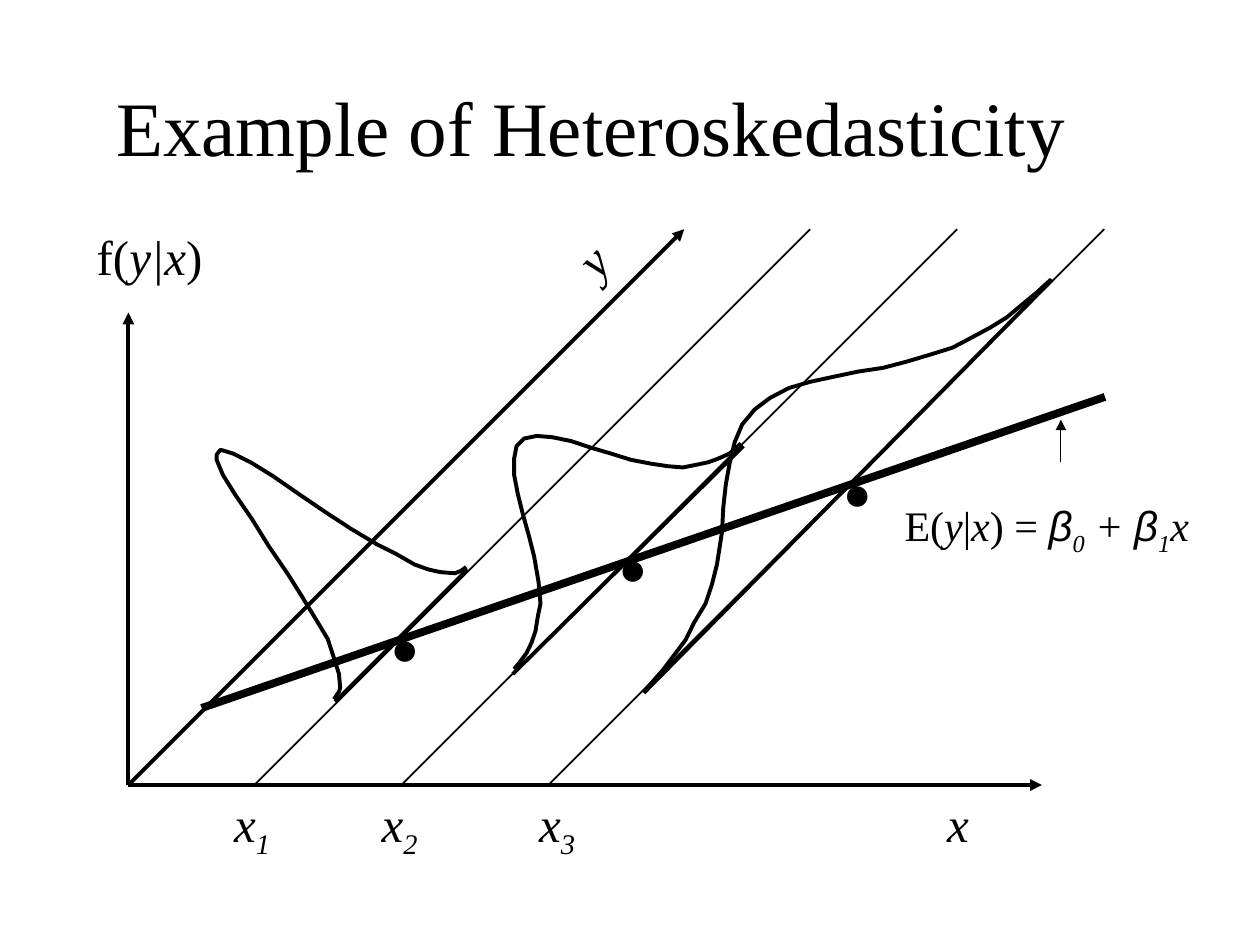
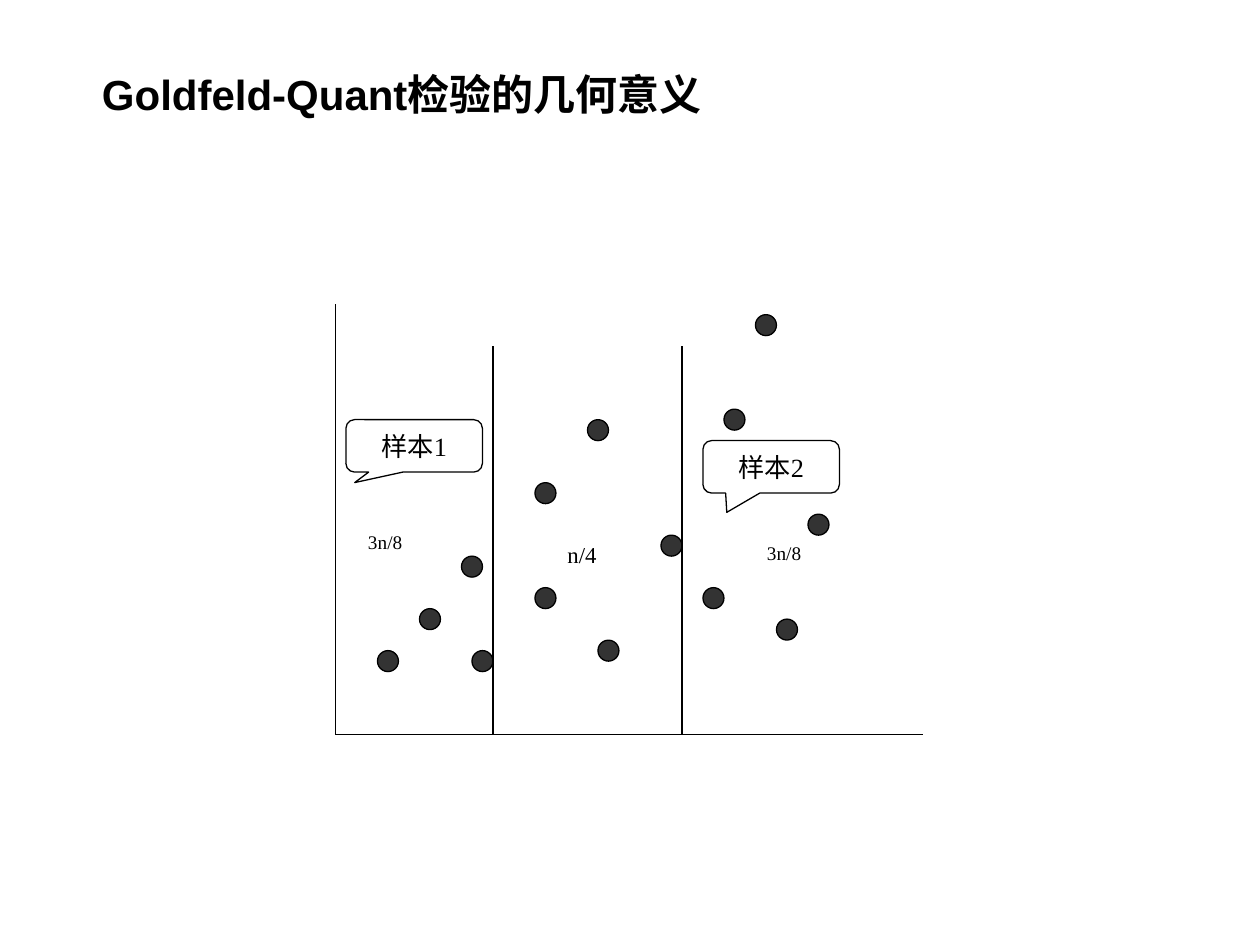
import pptx
import pptx.dml.color
import pptx.enum.shapes
import pptx.enum.text
import pptx.oxml
import pptx.oxml.ns
import pptx.util

Pt = pptx.util.Pt
MSO_SHAPE = pptx.enum.shapes.MSO_SHAPE
BLACK = pptx.dml.color.RGBColor(0x00, 0x00, 0x00)
DOT_GRAY = pptx.dml.color.RGBColor(0x33, 0x33, 0x33)
SERIF = "Times New Roman"
SANS = "Arial"


def write(shape, runs, size, inset=(7.2, 3.6), wrap=False):
    """Fill a shape with runs of (text, style, font); style letters: b, i, s = subscript."""
    frame = shape.text_frame
    frame.word_wrap = wrap
    frame.margin_left = frame.margin_right = Pt(inset[0])
    frame.margin_top = frame.margin_bottom = Pt(inset[1])
    paragraph = frame.paragraphs[0]
    for text, style, font in runs:
        run = paragraph.add_run()
        run.text = text
        run.font.name = font
        run.font.size = Pt(size)
        run.font.color.rgb = BLACK
        run.font.bold = "b" in style
        run.font.italic = "i" in style
        if "s" in style:
            run._r.get_or_add_rPr().set("baseline", "-25000")
    return paragraph


def add_line(slide, x1, y1, x2, y2, width, arrow=False):
    line = slide.shapes.add_connector(
        pptx.enum.shapes.MSO_CONNECTOR.STRAIGHT, Pt(x1), Pt(y1), Pt(x2), Pt(y2))
    line.line.color.rgb = BLACK
    line.line.width = Pt(width)
    if arrow:
        tail = pptx.oxml.parse_xml(
            f'<a:tailEnd {pptx.oxml.ns.nsdecls("a")} type="triangle"/>')
        line.line._get_or_add_ln().append(tail)
    line._element.spPr.append(
        pptx.oxml.parse_xml(f'<a:effectLst {pptx.oxml.ns.nsdecls("a")}/>'))


presentation = pptx.Presentation()
presentation.slide_width = Pt(720)
presentation.slide_height = Pt(540)
blank = presentation.slide_layouts[6]

# Slide 1: conditional densities that widen along x
slide = presentation.slides.add_slide(blank)

ORIGIN_X, ORIGIN_Y = 73.4, 448.6
DEPTH = 317.6
add_line(slide, ORIGIN_X, ORIGIN_Y, 595.4, ORIGIN_Y, 2.25, arrow=True)
add_line(slide, ORIGIN_X, ORIGIN_Y, ORIGIN_X, 178.6, 2.25, arrow=True)
add_line(slide, ORIGIN_X, ORIGIN_Y, ORIGIN_X + DEPTH, ORIGIN_Y - DEPTH, 2.25, arrow=True)
for index in range(3):
    x = 145.4 + 84 * index
    add_line(slide, x, ORIGIN_Y, x + DEPTH, ORIGIN_Y - DEPTH, 1)
add_line(slide, 115.2, 404.6, 631.4, 226.8, 4.5)
add_line(slide, 606.2, 264.2, 606.2, 239.8, 0.75, arrow=True)

density_bases = [
    (191.5, 401, 267.1, 325.4),
    (293, 385.2, 424.8, 254.9),
    (367.9, 396, 601.2, 159.8),
]
for base in density_bases:
    add_line(slide, *base, 2.25)

density_curves = [
    [(190.8, 399.6), (193.7, 395.3), (194.4, 393.1), (193.7, 385.2), (191.5, 378),
     (187.2, 365), (180.7, 354.2), (172.8, 341.3), (164.2, 327.6)],
    [(164.2, 327.6), (153.4, 311.8), (144, 296.6), (134.6, 283), (127.4, 271.4),
     (123.8, 262.8), (123.8, 259.9), (126, 257), (133.2, 259.2), (143.3, 264.2),
     (156.2, 272.2), (170.6, 282.2), (186.5, 293), (200.9, 302.4), (215.3, 311),
     (226.8, 316.8), (236.9, 322.6), (244.8, 325.4), (251.3, 326.9), (259.9, 327.6),
     (263.5, 326.2), (266.4, 324)],
    [(293.8, 382.3), (297.4, 378), (301, 373), (303.8, 367.2), (306, 360.7),
     (307.4, 352.1), (308.9, 344.9), (307.8, 332.6), (305.3, 318.2), (302.4, 306.7),
     (298.8, 293.8), (295.9, 282.2), (293.8, 271.4), (293.8, 262.1), (295.2, 254.9),
     (299.5, 250.6), (306.7, 249.1), (315.4, 249.8), (326.2, 252), (337, 255.6),
     (349.2, 259.2), (360.7, 262.8), (372.2, 265), (381.6, 266.4), (390.2, 267.1),
     (397.4, 265.7), (404.6, 264.2), (410.4, 262.1), (416.9, 259.2), (423.4, 253.4)],
    [(367.9, 395.3), (378.7, 383), (385.2, 374.4), (391.7, 365.8), (396.7, 355.7),
     (403.2, 344.9), (406.8, 334.1), (409.7, 322.6), (412.6, 303.8)],
    [(412.6, 303.8), (413.3, 290.2), (414.7, 277.2), (416.9, 265), (419.8, 252.7),
     (424.1, 242.6), (431.3, 234), (439.9, 227.5), (450.7, 221.8), (463, 218.2),
     (476.6, 215.3), (490.3, 212.4), (504.7, 210.2), (518.4, 206.6), (532.8, 202.3),
     (544.3, 198.7), (555.1, 193), (565.9, 187.2), (575.3, 181.4), (583.9, 174.2),
     (592.6, 167), (600.5, 159.8)],
]
for curve in density_curves:
    points = [(Pt(x), Pt(y)) for x, y in curve]
    builder = slide.shapes.build_freeform(*points[0])
    builder.add_line_segments(points[1:], close=False)
    shape = builder.convert_to_shape()
    shape.shadow.inherit = False
    shape.fill.background()
    shape.line.color.rgb = BLACK
    shape.line.width = Pt(2.25)

regression = [("E(", "", SERIF), ("y", "i", SERIF), ("|", "", SERIF), ("x", "i", SERIF),
              (") = ", "", SERIF), ("β", "i", SANS), ("0", "is", SERIF), (" + ", "i", SERIF),
              ("β", "i", SANS), ("1", "is", SERIF), ("x", "i", SERIF)]
density_label = [("f(", "", SERIF), ("y|x", "i", SERIF), (")", "", SERIF)]
title = [("Example of Heteroskedasticity", "", SERIF)]
mean_point = [(".", "b", SERIF)]
labels = [  # left, top, width, height, size, rotation, wrap, runs
    (59.4, 41.8, 557.3, 59.8, 44, 0, False, title),
    (48.2, 126, 74.9, 40.3, 28, 0, False, density_label),
    (324.7, 128.2, 26.6, 40.3, 28, 314, False, [("y", "i", SERIF)]),
    (534.2, 450, 28.8, 40.3, 28, 0, False, [("x", "i", SERIF)]),
    (509.8, 282.2, 177.8, 40.3, 24, 0, True, regression),
]
for left, top in [(215.3, 301.7), (345.6, 256.3), (473.8, 213.1)]:
    labels.append((left, top, 32.4, 93.6, 72, 0, False, mean_point))
for number, left in enumerate((126.7, 211, 301), start=1):
    runs = [("x", "i", SERIF), (str(number), "is", SERIF)]
    labels.append((left, 450, 44, 45.4, 28, 0, True, runs))
for left, top, width, height, size, rotation, wrap, runs in labels:
    box = slide.shapes.add_textbox(Pt(left), Pt(top), Pt(width), Pt(height))
    box.rotation = rotation
    write(box, runs, size, wrap=wrap)

# Slide 2: scatter split into three samples, laid out on a grid of 6 pt steps
slide = presentation.slides.add_slide(blank)
STEP = 6
PLOT_LEFT, PLOT_BOTTOM = 191.7, 419.8
SMALL_INSET = (6.6, 3.3)

dots = [(4, 8), (12, 17), (8, 12), (13, 8), (19, 14), (19, 24), (24, 30),
        (25, 9), (35, 14), (42, 11), (37, 31), (40, 40), (45, 21), (31, 19)]
for column, row in dots:
    dot = slide.shapes.add_shape(
        MSO_SHAPE.OVAL, Pt(PLOT_LEFT + column * STEP), Pt(PLOT_BOTTOM - row * STEP),
        Pt(2 * STEP), Pt(2 * STEP))
    dot.shadow.inherit = False
    dot.fill.solid()
    dot.fill.fore_color.rgb = DOT_GRAY
    dot.line.color.rgb = BLACK
    dot.line.width = Pt(0.75)

add_line(slide, PLOT_LEFT, PLOT_BOTTOM, PLOT_LEFT + 56 * STEP, PLOT_BOTTOM, 0.75)
for column, rows in [(0, 41), (15, 37), (33, 37)]:
    x = PLOT_LEFT + column * STEP
    add_line(slide, x, PLOT_BOTTOM - rows * STEP, x, PLOT_BOTTOM, 0.75)

callouts = [("样本1", 1, 30, (-0.435, 0.7, 0.167)), ("样本2", 35, 28, (-0.325, 0.867, 0.167))]
for text, column, row, adjustments in callouts:
    callout = slide.shapes.add_shape(
        MSO_SHAPE.ROUNDED_RECTANGULAR_CALLOUT, Pt(PLOT_LEFT + column * STEP),
        Pt(PLOT_BOTTOM - row * STEP), Pt(13 * STEP), Pt(5 * STEP))
    for index, value in enumerate(adjustments):
        callout.adjustments[index] = value
    callout.shadow.inherit = False
    callout.fill.background()
    callout.line.color.rgb = BLACK
    callout.line.width = Pt(0.75)
    callout.text_frame.vertical_anchor = pptx.enum.text.MSO_ANCHOR.MIDDLE
    paragraph = write(callout, [(text, "", SERIF)], 15, SMALL_INSET)
    paragraph.alignment = pptx.enum.text.PP_ALIGN.CENTER

shares = [("3n/8", 2, 20, 7, 11), ("n/4", 21, 19, 5, 13), ("3n/8", 40, 19, 7, 11)]
for text, column, row, columns, size in shares:
    box = slide.shapes.add_textbox(
        Pt(PLOT_LEFT + column * STEP), Pt(PLOT_BOTTOM - row * STEP),
        Pt(columns * STEP), Pt(20))
    write(box, [(text, "", SERIF)], size, SMALL_INSET, wrap=True)

box = slide.shapes.add_textbox(Pt(53.3), Pt(36.2), Pt(359.3), Pt(33.8))
write(box, [("Goldfeld-Quant检验的几何意义", "b", SANS)], 24, (5, 2.9))

presentation.save("out.pptx")
